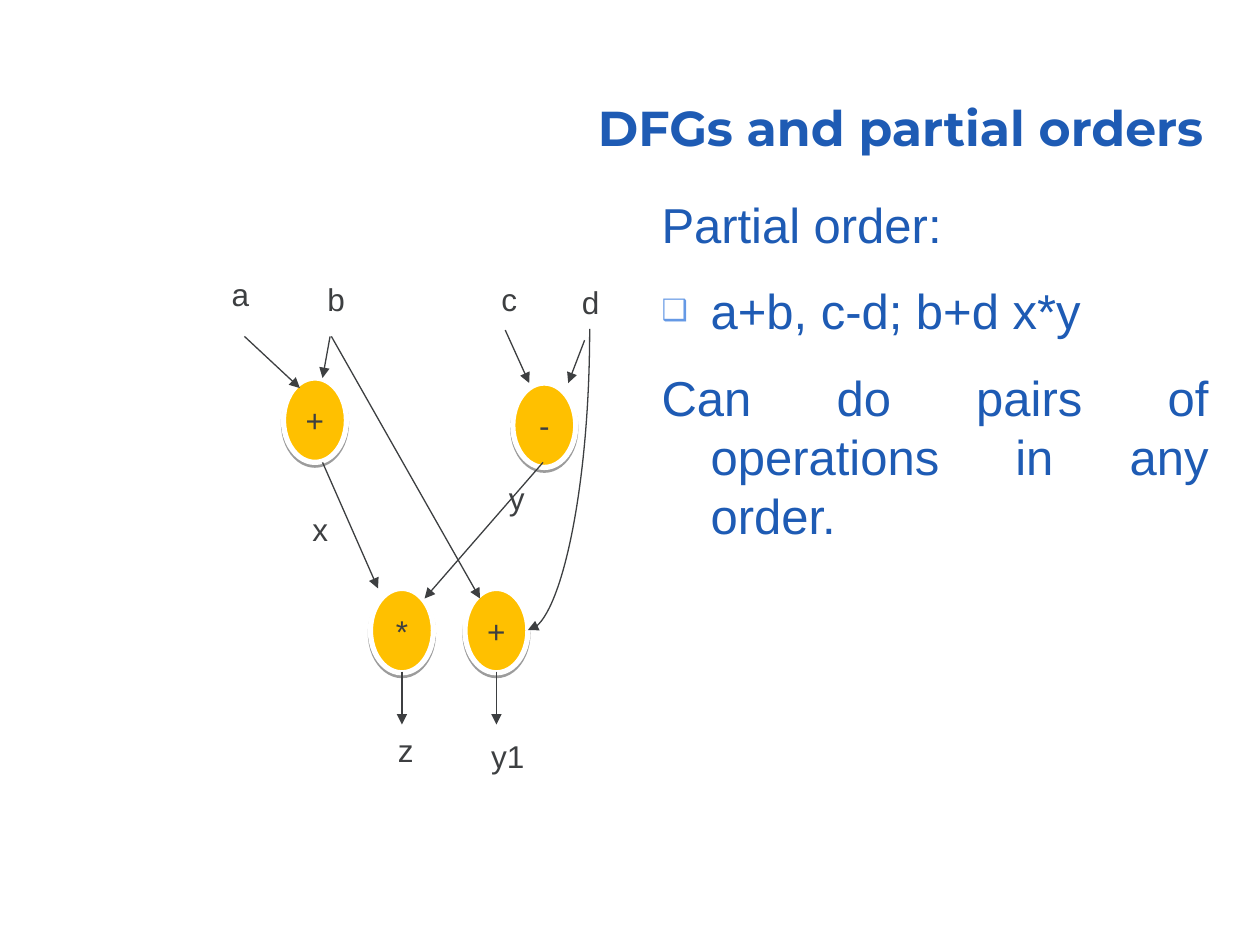
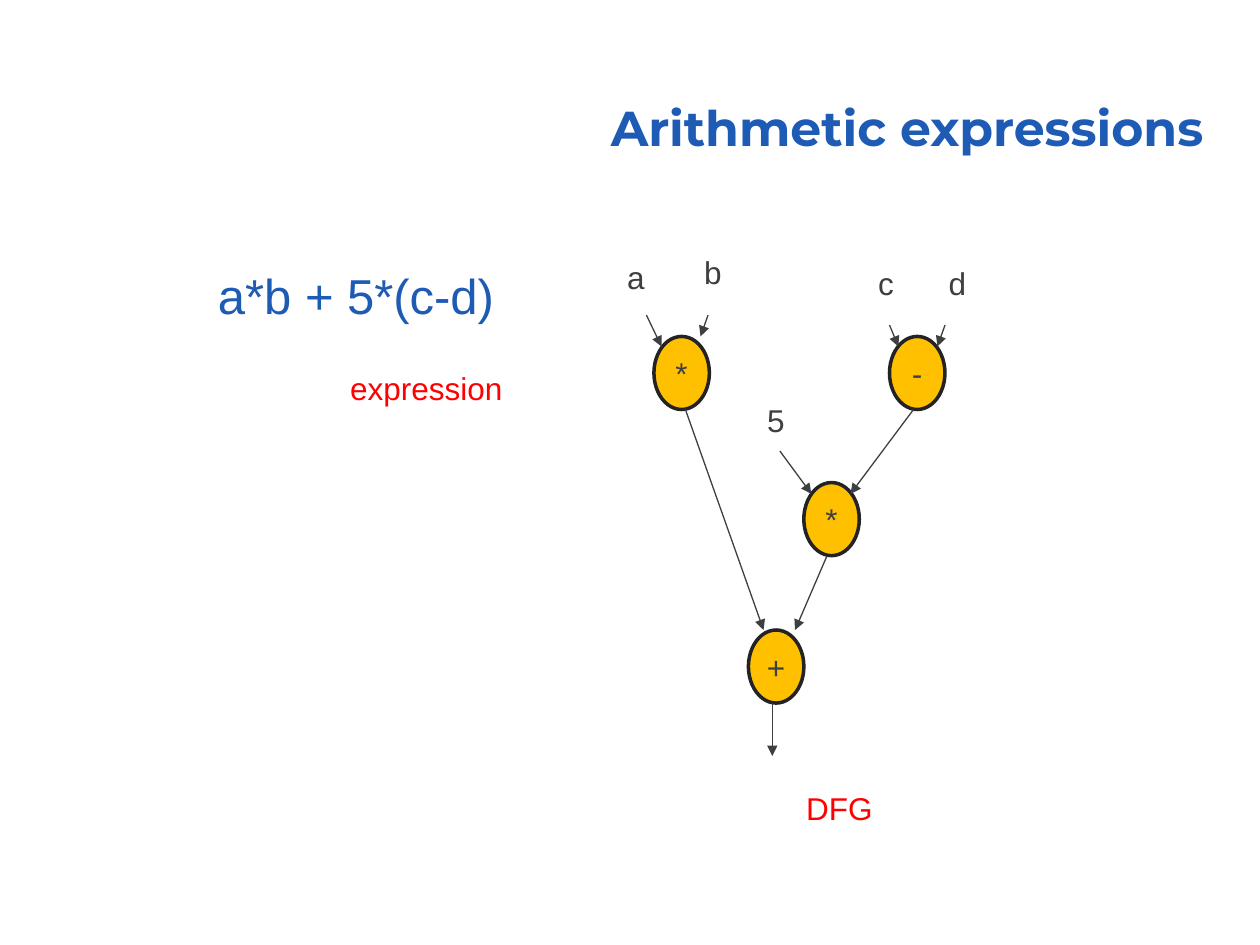
from typing import Any, NamedTuple

from lxml.etree import SubElement as Sub
from pptx import Presentation
from pptx.dml.color import RGBColor
from pptx.enum.shapes import MSO_CONNECTOR as Link, MSO_SHAPE as Form
from pptx.enum.text import MSO_ANCHOR as Anchor, MSO_AUTO_SIZE as Fit, PP_ALIGN as Align
from pptx.oxml.ns import qn
from pptx.util import Emu, Pt

SCALE = 9144
BLUE, SKY, GOLD = "1E5BB4", "6599E5", "FFC000"
INK, RED, WHITE, BLACK = "3D3F41", "FF0000", "FFFFFF", "232325"


class Look(NamedTuple):
    width: int
    height: int
    rim: str
    weight: int
    shade: bool


class Node(NamedTuple):
    x: int
    y: int
    sign: str


class Label(NamedTuple):
    x: int
    y: int
    text: str
    width: int = 34
    tint: str = INK


class Edge(NamedTuple):
    x: int
    y: int
    to_x: int
    to_y: int


class Line(NamedTuple):
    text: str
    mark: str = ""


class Page(NamedTuple):
    title: str
    box: tuple[int, int, int, int]
    lines: list[Line]
    look: Look
    nodes: list[Node]
    labels: list[Label]
    edges: list[Edge]
    bows: list[Edge]


def px(size: float) -> Emu:
    return Emu(round(size * SCALE))


def hue(code: str) -> RGBColor:
    return RGBColor.from_string(code)


def apply(item: Any, form: dict[str, Any]) -> None:
    for key, value in form.items():
        setattr(item, key, value)


def place(shape: Any, left: float, top: float, width: float, height: float) -> None:
    apply(shape, dict(left=px(left), top=px(top), width=px(width), height=px(height)))


def write(para: Any, text: str, tint: str, form: dict[str, Any]) -> None:
    run = para.add_run()
    run.text = text
    apply(run.font, form)
    run.font.color.rgb = hue(tint)


HEAD = dict(name="Montserrat", size=Pt(28), bold=True)
BODY = dict(name="Arial", size=Pt(28))
SMALL = dict(name="Arial", size=Pt(18))


def add_title(slide: Any, text: str) -> None:
    shape = slide.shapes.title
    place(shape, 294, 53, 671, 77)
    frame = shape.text_frame
    apply(frame, dict(vertical_anchor=Anchor.BOTTOM, auto_size=Fit.NONE))
    para = frame.paragraphs[0]
    apply(para, dict(alignment=Align.RIGHT, line_spacing=0.9))
    write(para, text, BLUE, HEAD)


def add_mark(para: Any, mark: str) -> None:
    props = para._p.get_or_add_pPr()
    props.set("marL", str(px(39)))
    props.set("indent", str(px(-39)))
    if not mark:
        Sub(props, qn("a:buNone"))
        return
    tint = Sub(props, qn("a:buClr"))
    Sub(tint, qn("a:srgbClr"), val=SKY)
    Sub(props, qn("a:buSzPct"), val="60000")
    Sub(props, qn("a:buChar"), char=mark)


def add_body(slide: Any, box: tuple[int, int, int, int], lines: list[Line]) -> None:
    shape = slide.placeholders[1]
    place(shape, *box)
    frame = shape.text_frame
    frame.auto_size = Fit.NONE
    for rank, line in enumerate(lines):
        para = frame.add_paragraph() if rank else frame.paragraphs[0]
        add_mark(para, line.mark)
        gap = Pt(16 if rank else 0)
        apply(para, dict(alignment=Align.JUSTIFY, space_before=gap))
        write(para, line.text, BLUE, BODY)


def add_node(slide: Any, node: Node, look: Look) -> None:
    shape = slide.shapes.add_shape(
        Form.OVAL, px(node.x), px(node.y), px(look.width), px(look.height)
    )
    shape.fill.solid()
    shape.fill.fore_color.rgb = hue(GOLD)
    shape.line.color.rgb = hue(look.rim)
    shape.line.width = Pt(look.weight)
    shape.shadow.inherit = False
    if look.shade:
        glow = shape.element.spPr.find(qn("a:effectLst"))
        cast = Sub(glow, qn("a:outerShdw"), dist=str(Pt(1.6)), dir="5400000", rotWithShape="0")
        tint = Sub(cast, qn("a:srgbClr"), val="000000")
        Sub(tint, qn("a:alpha"), val="38000")
    frame = shape.text_frame
    apply(frame, dict(word_wrap=False, vertical_anchor=Anchor.MIDDLE))
    frame.paragraphs[0].alignment = Align.CENTER
    write(frame.paragraphs[0], node.sign, INK, SMALL)


def add_label(slide: Any, label: Label) -> None:
    shape = slide.shapes.add_textbox(px(label.x), px(label.y), px(label.width), px(40))
    apply(shape.text_frame, dict(word_wrap=False, auto_size=Fit.SHAPE_TO_FIT_TEXT))
    write(shape.text_frame.paragraphs[0], label.text, label.tint, SMALL)


def add_edge(slide: Any, edge: Edge, kind: Any = Link.STRAIGHT) -> Any:
    link = slide.shapes.add_connector(kind, *(px(part) for part in edge))
    link.line.color.rgb = hue(INK)
    link.line.width = Pt(0.75)
    props = link.element.spPr
    Sub(props.find(qn("a:ln")), qn("a:tailEnd"), type="triangle")
    Sub(props, qn("a:effectLst"))
    return link


def add_bow(slide: Any, edge: Edge) -> None:
    link = add_edge(slide, edge, Link.CURVE)
    wide, tall = edge.x - edge.to_x, edge.to_y - edge.y
    props = link.element.spPr
    frame = props.find(qn("a:xfrm"))
    frame.attrib.pop("flipH", None)
    frame.set("rot", "5400000")
    props.find(qn("a:prstGeom")).set("prst", "curvedConnector2")
    mid_x, mid_y = edge.to_x + wide / 2, edge.y + tall / 2
    place(link, mid_x - tall / 2, mid_y - wide / 2, tall, wide)


ORDERS = Page(
    "DFGs and partial orders",
    (515, 149, 454, 568),
    [
        Line("Partial order:"),
        Line("a+b, c-d; b+d x*y", "❑"),
        Line("Can do pairs of operations in any order."),
    ],
    Look(50, 67, WHITE, 3, True),
    [Node(225, 300, "+"), Node(407, 304, "-"), Node(369, 467, "+"), Node(294, 467, "*")],
    [
        Label(174, 213, "a"),
        Label(250, 217, "b"),
        Label(388, 217, "c", 32),
        Label(452, 220, "d"),
        Label(306, 575, "z", 32),
        Label(238, 400, "x", 32),
        Label(394, 375, "y", 32),
        Label(380, 580, "y1", 49),
    ],
    [
        Edge(194, 267, 238, 308),
        Edge(262, 267, 256, 300),
        Edge(256, 367, 300, 467),
        Edge(319, 533, 319, 575),
        Edge(401, 262, 420, 304),
        Edge(464, 270, 451, 304),
        Edge(431, 367, 337, 475),
        Edge(263, 267, 381, 475),
        Edge(394, 533, 394, 575),
    ],
    [Edge(468, 261, 419, 500)],
)

SUMS = Page(
    "Arithmetic expressions",
    (163, 206, 329, 60),
    [Line("a*b + 5*(c-d)")],
    Look(44, 58, BLACK, 2, False),
    [Node(519, 267, "*"), Node(706, 267, "-"), Node(638, 383, "*"), Node(594, 500, "+")],
    [
        Label(268, 288, "expression", 141, RED),
        Label(630, 621, "DFG", 73, RED),
        Label(488, 200, "a"),
        Label(549, 196, "b"),
        Label(687, 205, "c", 32),
        Label(743, 205, "d"),
        Label(599, 313, "5"),
    ],
    [
        Edge(513, 250, 525, 275),
        Edge(562, 250, 556, 267),
        Edge(706, 258, 713, 275),
        Edge(750, 258, 744, 275),
        Edge(544, 325, 606, 500),
        Edge(613, 558, 613, 600),
        Edge(725, 325, 675, 392),
        Edge(619, 358, 644, 392),
        Edge(656, 442, 631, 500),
    ],
    [],
)


def draw(deck: Any, page: Page) -> None:
    slide = deck.slides.add_slide(deck.slide_layouts[1])
    add_title(slide, page.title)
    add_body(slide, page.box, page.lines)
    for node in page.nodes:
        add_node(slide, node, page.look)
    for label in page.labels:
        add_label(slide, label)
    for edge in page.edges:
        add_edge(slide, edge)
    for edge in page.bows:
        add_bow(slide, edge)


def main() -> None:
    deck = Presentation()
    apply(deck, dict(slide_width=px(1000), slide_height=px(750)))
    for page in (ORDERS, SUMS):
        draw(deck, page)
    deck.save("out.pptx")


if __name__ == "__main__":
    main()
